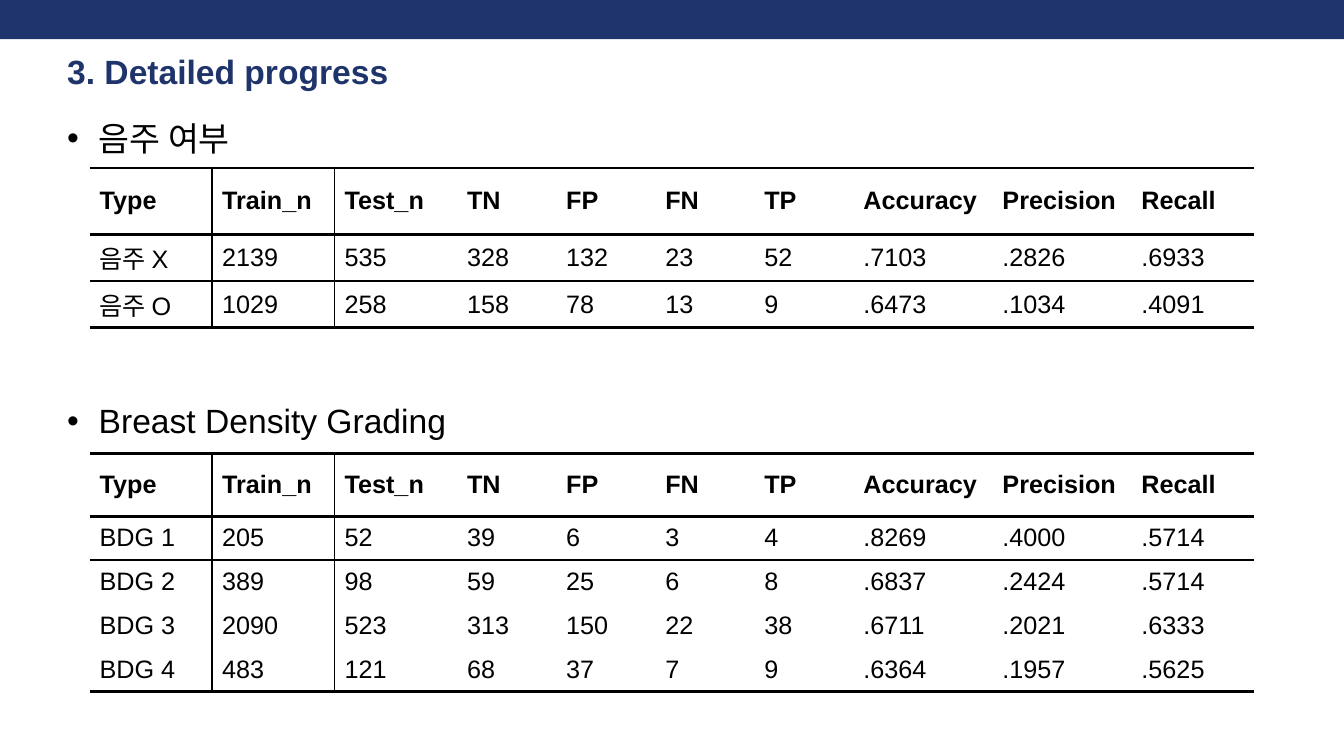
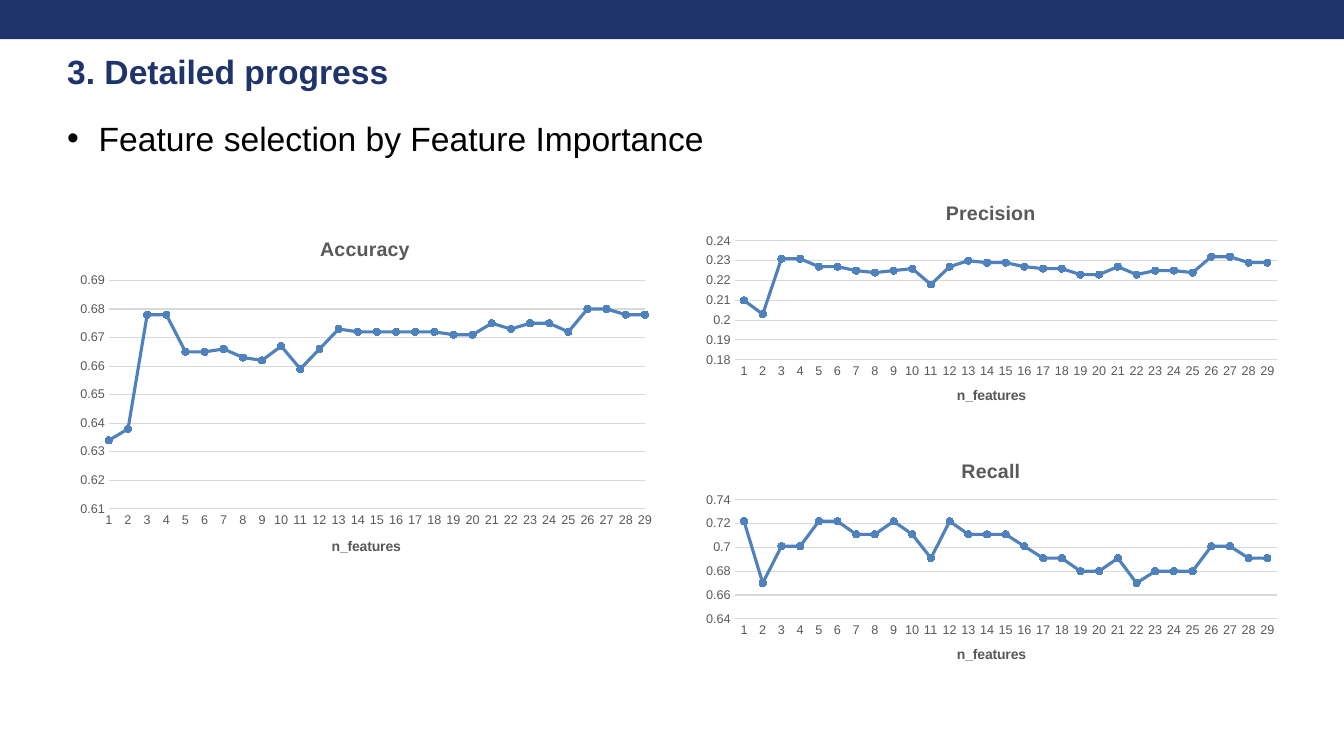
"""Build two progress slides: result tables and feature selection charts."""
from dataclasses import dataclass

from lxml import etree
from pptx import Presentation
from pptx.chart import data
from pptx.dml.color import RGBColor
from pptx.enum import chart as ch, shapes, text
from pptx.oxml import ns
from pptx.util import Pt


@dataclass(frozen=True)
class Theme:
    """Colours, font and type sizes shared by the slides."""
    navy: str = "1F346B"
    black: str = "000000"
    grey: str = "595959"
    pale: str = "D9D9D9"
    blue: str = "4F81BD"
    face: str = "Arial"
    head: int = 24
    cell: int = 18
    name: int = 14
    axis: int = 10
    tick: int = 9


T = Theme()
WIDE, HIGH = 960, 540
LEFT, TOP = 48, 84
PLAIN = "{2D5ABB26-0587-4C30-8999-92F81FD0307C}"
COLS = [87.5] * 3 + [70.8] * 4 + [99.3] * 2 + [87.5]
HEADS = ["Type", "Train_n", "Test_n", "TN", "FP", "FN", "TP",
         "Accuracy", "Precision", "Recall"]
DRINK = [
    ["음주 X", "2139", "535", "328", "132", "23", "52", ".7103", ".2826", ".6933"],
    ["음주 O", "1029", "258", "158", "78", "13", "9", ".6473", ".1034", ".4091"],
]
GRADE = [
    ["BDG 1", "205", "52", "39", "6", "3", "4", ".8269", ".4000", ".5714"],
    ["BDG 2", "389", "98", "59", "25", "6", "8", ".6837", ".2424", ".5714"],
    ["BDG 3", "2090", "523", "313", "150", "22", "38", ".6711", ".2021", ".6333"],
    ["BDG 4", "483", "121", "68", "37", "7", "9", ".6364", ".1957", ".5625"],
]
ACC = [0.634, 0.638, 0.678, 0.678, 0.665, 0.665, 0.666, 0.663, 0.662, 0.667,
       0.659, 0.666, 0.673, 0.672, 0.672, 0.672, 0.672, 0.672, 0.671, 0.671,
       0.675, 0.673, 0.675, 0.675, 0.672, 0.68, 0.68, 0.678, 0.678]
PREC = [0.21, 0.203, 0.231, 0.231, 0.227, 0.227, 0.225, 0.224, 0.225, 0.226,
        0.218, 0.227, 0.23, 0.229, 0.229, 0.227, 0.226, 0.226, 0.223, 0.223,
        0.227, 0.223, 0.225, 0.225, 0.224, 0.232, 0.232, 0.229, 0.229]
REC = [0.722, 0.67, 0.701, 0.701, 0.722, 0.722, 0.711, 0.711, 0.722, 0.711,
       0.691, 0.722, 0.711, 0.711, 0.711, 0.701, 0.691, 0.691, 0.68, 0.68,
       0.691, 0.67, 0.68, 0.68, 0.68, 0.701, 0.701, 0.691, 0.691]


def ink(hue):
    """Turn a hex string into a colour."""
    return RGBColor.from_string(hue)


def style(font, size, hue=T.black, bold=False):
    """Set face, size, colour and weight of a font."""
    font.name, font.size, font.bold = T.face, Pt(size), bold
    font.color.rgb = ink(hue)


def stroke(line, hue, width):
    """Set colour and width of a line."""
    line.color.rgb = ink(hue)
    line.width = Pt(width)


def place(shape, left, top, width, height):
    """Move and size a shape."""
    shape.left, shape.top = Pt(left), Pt(top)
    shape.width, shape.height = Pt(width), Pt(height)


def bare(frame):
    """Clear the insets of a text frame and let it wrap."""
    frame.margin_left = frame.margin_right = Pt(0)
    frame.margin_top = frame.margin_bottom = Pt(0)
    frame.word_wrap = True
    frame.auto_size = text.MSO_AUTO_SIZE.NONE


def start(deck, title):
    """Add a slide with the top band and the title."""
    slide = deck.slides.add_slide(deck.slide_layouts[5])
    band = slide.shapes.add_shape(
        shapes.MSO_SHAPE.RECTANGLE, Pt(0), Pt(0), Pt(WIDE), Pt(28))
    band.shadow.inherit = False
    band.fill.solid()
    band.fill.fore_color.rgb = ink(T.navy)
    band.line.fill.background()
    box = slide.shapes.title
    place(box, LEFT, 35.5, 894, 30)
    frame = box.text_frame
    frame.text = title
    bare(frame)
    frame.vertical_anchor = text.MSO_ANCHOR.MIDDLE
    para = frame.paragraphs[0]
    para.alignment = text.PP_ALIGN.LEFT
    style(para.font, T.head, T.navy, True)
    return slide


def point(slide, words, top):
    """Add a bulleted heading."""
    box = slide.shapes.add_textbox(Pt(LEFT), Pt(top), Pt(708), Pt(29))
    bare(box.text_frame)
    para = box.text_frame.paragraphs[0]
    para.text = words
    props = para._p.get_or_add_pPr()
    props.set("marL", str(Pt(22.5)))
    props.set("indent", str(Pt(-22.5)))
    etree.SubElement(props, ns.qn("a:buFont"), typeface=T.face)
    etree.SubElement(props, ns.qn("a:buChar"), char="•")
    style(para.font, T.head)


def edge(cell, sides):
    """Draw the given borders of a cell, in schema order."""
    props = cell._tc.get_or_add_tcPr()
    found = [side for side in "LRTB" if side in sides]
    for spot, side in enumerate(found):
        line = etree.Element(ns.qn("a:ln" + side), w=str(Pt(sides[side])))
        fill = etree.SubElement(line, ns.qn("a:solidFill"))
        etree.SubElement(fill, ns.qn("a:srgbClr"), val=T.black)
        props.insert(spot, line)


def sides(row, col, last):
    """Give the border widths that a cell needs."""
    rules = {"T": row < 2, "B": row in (0, last)}
    found = {side: 2.25 for side, on in rules.items() if on}
    if col < 2:
        found["RL"[col]] = 1
    return found


def grid(slide, body, top, first, rest):
    """Add a ruled table with a bold header row."""
    rows = [HEADS] + body
    last = len(body)
    table = slide.shapes.add_table(
        len(rows), len(COLS), Pt(64), Pt(top),
        Pt(sum(COLS)), Pt(first + rest * last)).table
    table.first_row = table.horz_banding = False
    table._tbl.tblPr.find(ns.qn("a:tableStyleId")).text = PLAIN
    for col, width in zip(table.columns, COLS):
        col.width = Pt(width)
    for r, words in enumerate(rows):
        table.rows[r].height = Pt(rest if r else first)
        for c, word in enumerate(words):
            cell = table.cell(r, c)
            cell.text = word
            cell.fill.background()
            cell.vertical_anchor = text.MSO_ANCHOR.MIDDLE
            style(cell.text_frame.paragraphs[0].font, T.cell, bold=r == 0)
            edge(cell, sides(r, c, last))


def label(frame, words, size):
    """Write a bold grey chart or axis title."""
    frame.text = words
    style(frame.paragraphs[0].font, size, T.grey, True)


def fit(chart, area):
    """Fix the inner plot area as shares of the chart."""
    plot = chart._chartSpace.chart.plotArea
    for old in plot.findall(ns.qn("c:layout")):
        plot.remove(old)
    outer = etree.Element(ns.qn("c:layout"))
    inner = etree.SubElement(outer, ns.qn("c:manualLayout"))
    marks = [("layoutTarget", "inner"), ("xMode", "edge"), ("yMode", "edge")]
    for tag, val in marks + list(zip("xywh", area)):
        etree.SubElement(inner, ns.qn("c:" + tag), val=str(val))
    plot.insert(0, outer)


def axes(chart, span):
    """Format both axes and set the value range."""
    low, high, step = span
    cat, val = chart.category_axis, chart.value_axis
    for axis in (cat, val):
        axis.major_tick_mark = axis.minor_tick_mark = ch.XL_TICK_MARK.NONE
        style(axis.tick_labels.font, T.tick, T.grey)
    label(cat.axis_title.text_frame, "n_features", T.axis)
    stroke(cat.format.line, T.pale, 0.75)
    val.minimum_scale, val.maximum_scale, val.major_unit = low, high, step
    val.format.line.fill.background()
    stroke(val.major_gridlines.format.line, T.pale, 0.75)


def trend(slide, name, vals, box, span, area, flush=False):
    """Add a line chart with markers; flush starts it on the value axis."""
    feed = data.CategoryChartData()
    feed.categories = [str(n + 1) for n in range(len(vals))]
    feed.add_series("Series 1", vals)
    chart = slide.shapes.add_chart(
        ch.XL_CHART_TYPE.LINE_MARKERS, *map(Pt, box), feed).chart
    style(chart.font, T.axis)
    chart.has_legend = False
    label(chart.chart_title.text_frame, name, T.name)
    chart.chart_title.include_in_layout = False
    axes(chart, span)
    fit(chart, area)
    if flush:
        cross = chart.value_axis._element.find(ns.qn("c:crossBetween"))
        if cross is None:
            cross = etree.Element(ns.qn("c:crossBetween"))
            chart.value_axis._element.find(ns.qn("c:crosses")).addnext(cross)
        cross.set("val", "midCat")
    chart.plots[0].vary_by_categories = False
    line = chart.plots[0].series[0]
    line.smooth = False
    stroke(line.format.line, T.blue, 2.25)
    line.marker.style = ch.XL_MARKER_STYLE.CIRCLE
    line.marker.size = 5
    line.marker.format.fill.solid()
    line.marker.format.fill.fore_color.rgb = ink(T.blue)
    stroke(line.marker.format.line, T.blue, 0.75)


def main():
    """Build and save the deck."""
    deck = Presentation()
    deck.slide_width, deck.slide_height = Pt(WIDE), Pt(HIGH)
    title = "3. Detailed progress"

    slide = start(deck, title)
    point(slide, "음주 여부", TOP)
    grid(slide, DRINK, 120, 47.5, 33)
    point(slide, "Breast Density Grading", 286)
    grid(slide, GRADE, 324, 44.8, 31.3)

    slide = start(deck, title)
    point(slide, "Feature selection by Feature Importance", TOP)
    trend(slide, "Accuracy", ACC, (LEFT, 157, 425.5, 255),
          (0.61, 0.69, 0.01), (0.07, 0.17, 0.9, 0.64), True)
    small = (0.07, 0.23, 0.91, 0.5)
    trend(slide, "Precision", PREC, (495, 133, 425.5, 170),
          (0.18, 0.24, 0.01), small)
    trend(slide, "Recall", REC, (495, 318, 425.5, 170),
          (0.64, 0.74, 0.02), small)
    deck.save("out.pptx")


if __name__ == "__main__":
    main()
